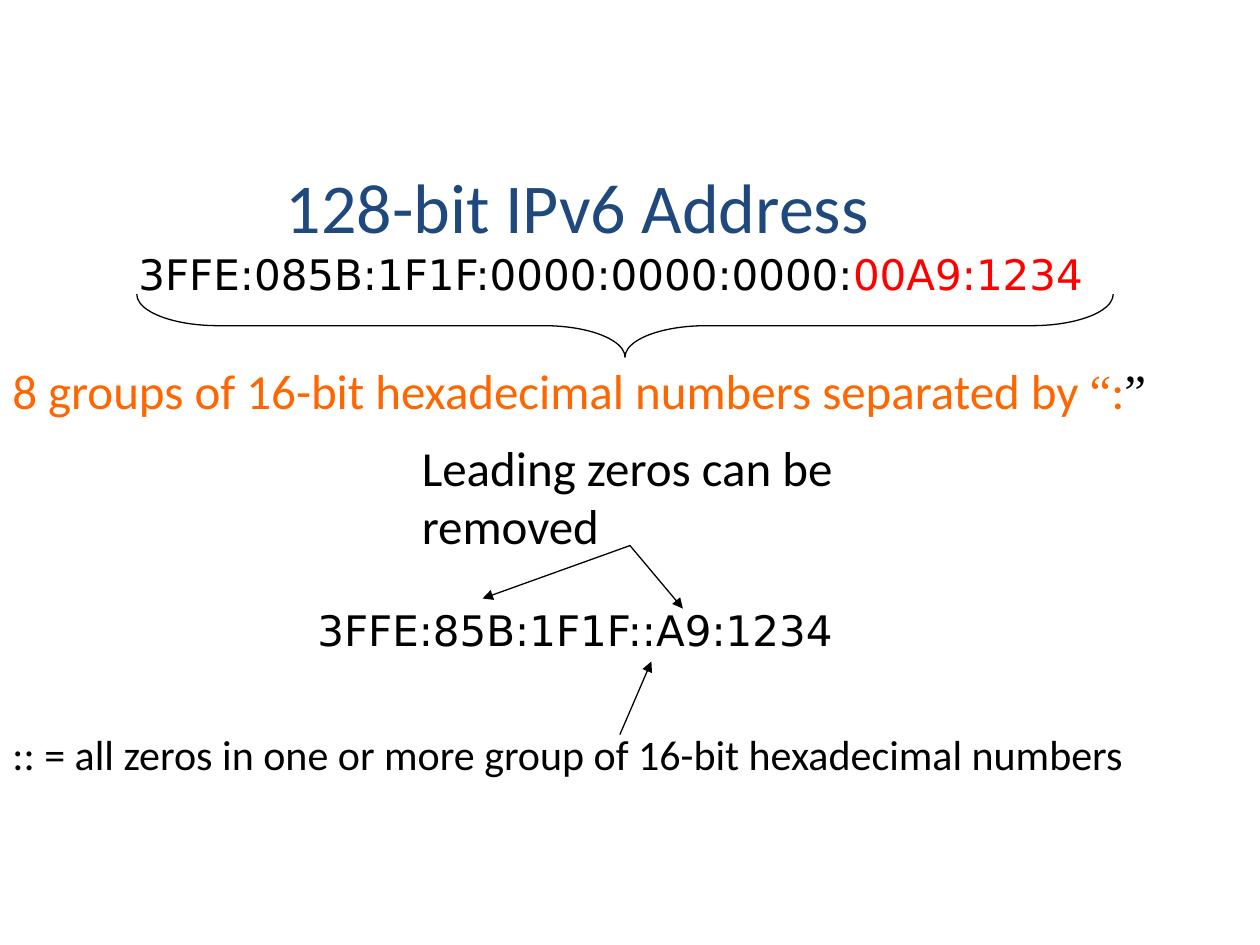
from lxml import etree
from pptx import Presentation
from pptx import util as u
from pptx.dml.color import RGBColor
from pptx.enum import shapes, text
from pptx.oxml.ns import qn

BLACK = RGBColor(0x00, 0x00, 0x00)
NAVY = RGBColor(0x1F, 0x49, 0x7D)
RED = RGBColor(0xFF, 0x00, 0x00)
ORANGE = RGBColor(0xFF, 0x66, 0x00)
SANS, MONO, SERIF = "Calibri", "DejaVu Sans", "Times New Roman"
LINE_WIDTH = u.Pt(0.75)


class AddressSlide:
    def __init__(self, deck):
        self.page = deck.slides.add_slide(deck.slide_layouts[6])

    def label(self, place, spans, size, font=SANS, color=BLACK, wrap=False, grow=True):
        box = self.page.shapes.add_textbox(*map(u.Inches, place))
        frame = box.text_frame
        frame.word_wrap = wrap
        if grow:
            frame.auto_size = text.MSO_AUTO_SIZE.SHAPE_TO_FIT_TEXT
        para = frame.paragraphs[0]
        para.font.size = u.Pt(size)
        for words, style in spans:
            span = para.add_run()
            span.text = words
            span.font.size = u.Pt(size)
            span.font.name = style.get("font", font)
            span.font.color.rgb = style.get("color", color)
        return frame

    def title(self, place, words):
        frame = self.label(place, [(words, {})], 40, color=NAVY, wrap=True, grow=False)
        frame.vertical_anchor = text.MSO_ANCHOR.MIDDLE
        frame.paragraphs[0].line_spacing = 0.8

    def brace(self, place):
        brace = self.page.shapes.add_shape(
            shapes.MSO_SHAPE.RIGHT_BRACE, *map(u.Inches, place))
        brace.rotation = 90
        brace.adjustments[0] = 1.29
        brace.adjustments[1] = 0.5
        brace.shadow.inherit = False
        brace.fill.background()
        brace.line.color.rgb = BLACK
        brace.line.width = LINE_WIDTH

    def arrow(self, start, end):
        arrow = self.page.shapes.add_connector(
            shapes.MSO_CONNECTOR.STRAIGHT, *map(u.Inches, start + end))
        arrow.line.color.rgb = BLACK
        arrow.line.width = LINE_WIDTH
        etree.SubElement(arrow.line._get_or_add_ln(), qn("a:tailEnd"), type="triangle")
        etree.SubElement(arrow._element.spPr, qn("a:effectLst"))


def main():
    deck = Presentation()
    deck.slide_width, deck.slide_height = u.Inches(10), u.Inches(7.5)
    slide = AddressSlide(deck)

    slide.title((2.17, 1.07, 8.5, 1.25), "128-bit IPv6 Address")
    slide.label((1, 1.92, 7.98, 0.5),
                [("3FFE:085B:1F1F:0000:0000:0000:", {}), ("00A9:1234", {"color": RED})],
                24, MONO)
    slide.brace((4.71, -1.29, 0.5, 7.75))
    slide.label((0, 2.81, 10.2, 0.57),
                [("8 groups of 16-bit hexadecimal numbers separated by ", {}),
                 ("“", {"font": SERIF}), (":", {}),
                 ("”", {"font": SERIF, "color": BLACK})],
                28, color=ORANGE)
    slide.label((2.42, 4.75, 4.51, 0.5), [("3FFE:85B:1F1F::A9:1234", {})], 24, MONO)
    slide.label((0, 5.73, 10, 0.5),
                [(":: = all zeros in one or more group of 16-bit hexadecimal numbers", {})], 24)
    slide.label((3.25, 3.42, 4.1, 1.5), [("Leading zeros can be removed", {})], 28, wrap=True)

    removed = (5, 4.33)
    for target in ((3.83, 4.75), (5.42, 4.83)):
        slide.arrow(removed, target)
    slide.arrow((4.92, 5.83), (5.17, 5.25))

    deck.save("out.pptx")


if __name__ == "__main__":
    main()
